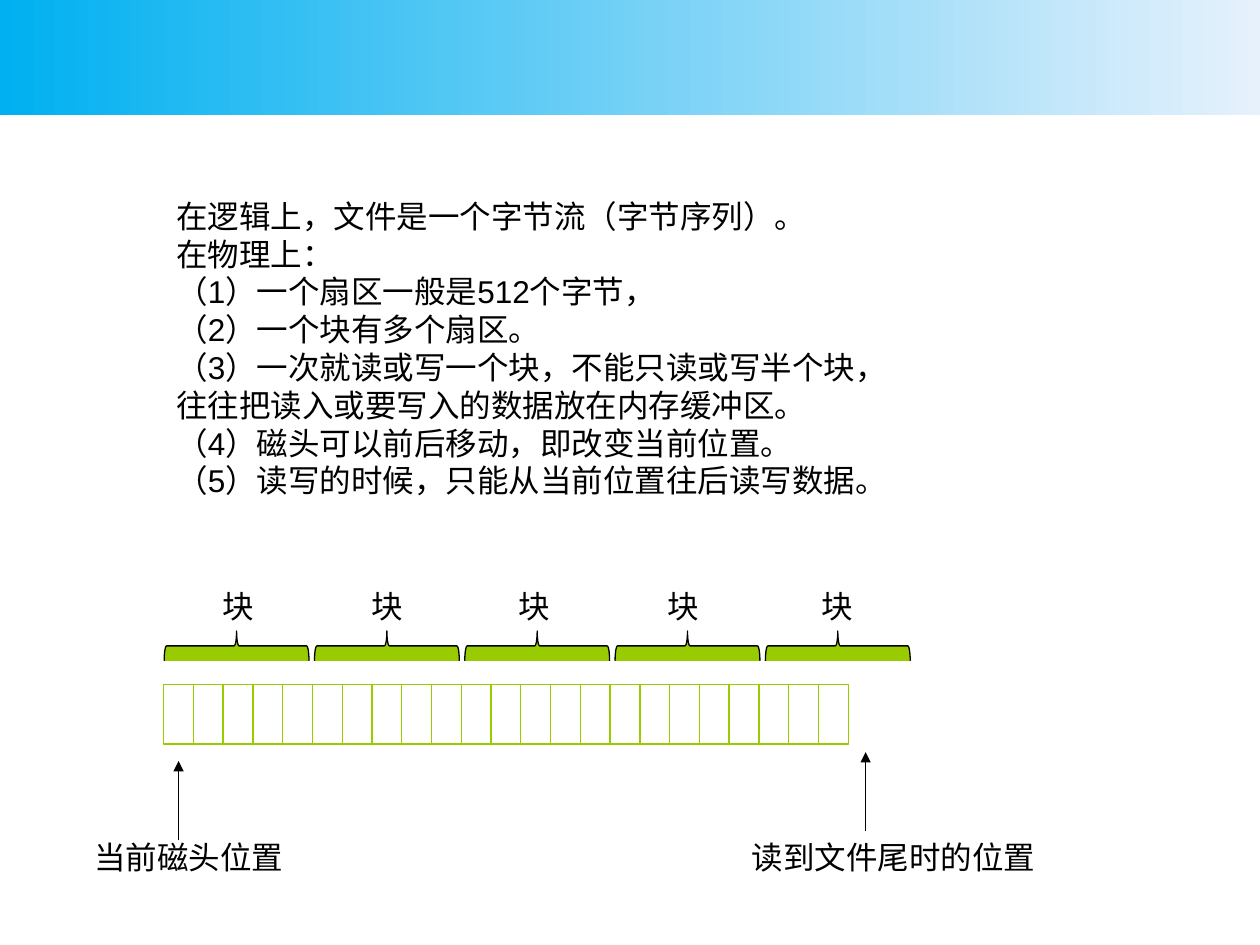
"""Build the slide that explains files as byte streams made of disk blocks."""
import lxml.etree
import pptx
import pptx.dml.color
import pptx.enum.dml
import pptx.enum.shapes
import pptx.enum.text
import pptx.oxml.ns
import pptx.util
from dataclasses import dataclass
from pptx.util import Cm


@dataclass(frozen=True)
class Theme:
    text: pptx.dml.color.RGBColor = pptx.dml.color.RGBColor(0x00, 0x00, 0x00)
    block: pptx.dml.color.RGBColor = pptx.dml.color.RGBColor(0x99, 0xCC, 0x00)
    banner_start: pptx.dml.color.RGBColor = pptx.dml.color.RGBColor(0x00, 0xB0, 0xF0)
    banner_end: pptx.dml.color.RGBColor = pptx.dml.color.RGBColor(0xE6, 0xF1, 0xFC)
    font: str = "Arial"
    size: pptx.util.Length = pptx.util.Pt(18)
    line: pptx.util.Length = pptx.util.Pt(0.75)


def format_runs(paragraph):
    for run in paragraph.runs:
        run.font.name = theme.font
        run.font.size = theme.size
        run.font.color.rgb = theme.text


def add_label(text, left, top, width):
    label = slide.shapes.add_textbox(Cm(left), Cm(top), Cm(width), Cm(1.02))
    label.text_frame.text = text
    label.text_frame.word_wrap = False
    label.text_frame.auto_size = pptx.enum.text.MSO_AUTO_SIZE.SHAPE_TO_FIT_TEXT
    format_runs(label.text_frame.paragraphs[0])


theme = Theme()
qn = pptx.oxml.ns.qn
shape_kinds = pptx.enum.shapes.MSO_SHAPE
presentation = pptx.Presentation()
presentation.slide_width = Cm(25.4)
presentation.slide_height = Cm(19.05)
slide = presentation.slides.add_slide(presentation.slide_layouts[1])
unused_title = slide.shapes.title.element
unused_title.getparent().remove(unused_title)

banner = slide.shapes.add_shape(shape_kinds.RECTANGLE, 0, 0, Cm(25.4), Cm(2.33))
banner.shadow.inherit = False
banner.line.fill.background()
banner.fill.gradient()
banner.fill.gradient_angle = 0
for stop, color, position in zip(
    banner.fill.gradient_stops, (theme.banner_start, theme.banner_end), (0, 1)
):
    stop.color.rgb = color
    stop.position = position

explanation = slide.placeholders[1]
explanation.left, explanation.top = Cm(3.3), Cm(3.84)
explanation.width, explanation.height = Cm(14.2), Cm(6.4)
explanation.text_frame.text = "\n".join((
    "在逻辑上，文件是一个字节流（字节序列）。",
    "在物理上：",
    "（1）一个扇区一般是512个字节，",
    "（2）一个块有多个扇区。",
    "（3）一次就读或写一个块，不能只读或写半个块，往往把读入或要写入的数据放在内存缓冲区。",
    "（4）磁头可以前后移动，即改变当前位置。",
    "（5）读写的时候，只能从当前位置往后读写数据。",
))
explanation.text_frame.word_wrap = True
explanation.text_frame.auto_size = pptx.enum.text.MSO_AUTO_SIZE.SHAPE_TO_FIT_TEXT
explanation.text_frame.vertical_anchor = pptx.enum.text.MSO_ANCHOR.TOP
for paragraph in explanation.text_frame.paragraphs:
    paragraph.space_before = pptx.util.Pt(0)
    properties = paragraph._p.get_or_add_pPr()
    properties.set("marL", "0")
    properties.set("indent", "0")
    lxml.etree.SubElement(properties, qn("a:buNone"))
    format_runs(paragraph)

for index in range(23):
    sector = slide.shapes.add_shape(
        shape_kinds.RECTANGLE, Cm(3.3 + 0.6 * index), Cm(13.8), Cm(0.6), Cm(1.2)
    )
    sector.shadow.inherit = False
    sector.fill.background()
    sector.line.color.rgb = theme.block
    sector.line.width = theme.line

for index, label_left in enumerate((4.24, 7.24, 10.21, 13.21, 16.31)):
    block_brace = slide.shapes.add_shape(
        shape_kinds.RIGHT_BRACE, Cm(4.47 + 3.03 * index), Cm(11.56), Cm(0.6), Cm(2.92)
    )
    block_brace.rotation = 270
    block_brace.shadow.inherit = False
    block_brace.fill.solid()
    block_brace.fill.fore_color.rgb = theme.block
    block_brace.line.color.rgb = theme.text
    block_brace.line.width = theme.line
    add_label("块", label_left, 11.71, 1.14)

for text, label_left, label_width, arrow_x, arrow_bottom in (
    ("当前磁头位置", 1.65, 4.37, 3.6, 16.94),
    ("读到文件尾时的位置", 14.91, 6.27, 17.45, 16.76),
):
    position_arrow = slide.shapes.add_connector(
        pptx.enum.shapes.MSO_CONNECTOR.STRAIGHT,
        Cm(arrow_x), Cm(arrow_bottom), Cm(arrow_x), Cm(arrow_bottom - 1.6),
    )
    position_arrow.line.color.rgb = theme.text
    position_arrow.line.width = theme.line
    arrow_line = position_arrow.line._get_or_add_ln()
    lxml.etree.SubElement(arrow_line, qn("a:tailEnd"), type="triangle")
    lxml.etree.SubElement(position_arrow.element.spPr, qn("a:effectLst"))
    add_label(text, label_left, 16.76, label_width)

presentation.save("out.pptx")
